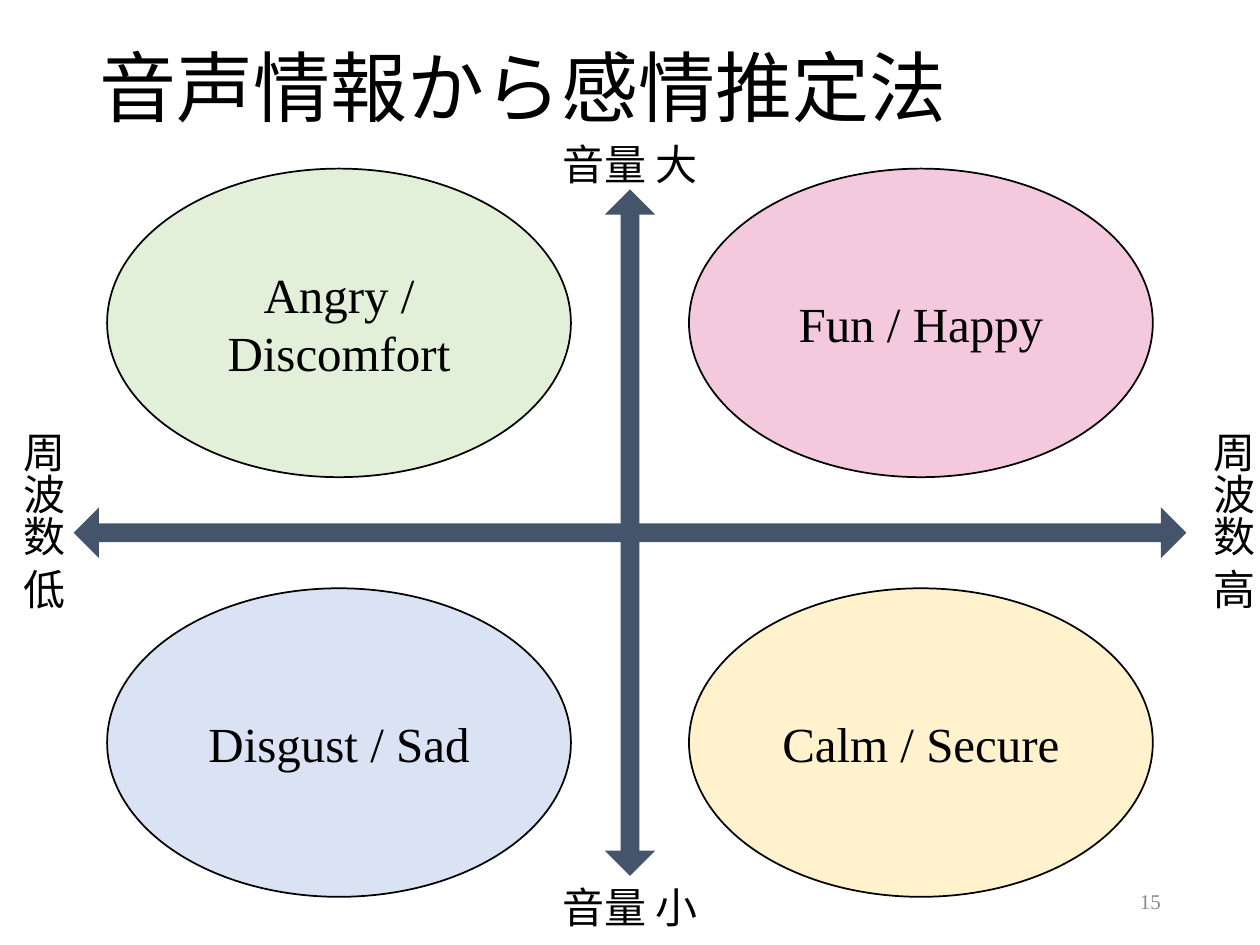
from pptx import Presentation
from pptx.dml.color import RGBColor
from pptx.enum.shapes import MSO_SHAPE
from pptx.enum.text import MSO_ANCHOR, MSO_AUTO_SIZE, PP_ALIGN
from pptx.util import Cm, Pt

COLORS = {
    "black": "000000", "gray": "8C8C8C", "slate": "44546A",
    "green": "E2F0D9", "pink": "F4C9DD", "blue": "DAE3F3", "cream": "FFF2CC",
}
FONT = "Times New Roman"


def tint(name):
    return RGBColor.from_string(COLORS[name])


def apply(item, form):
    for key, value in form.items():
        setattr(item, key, value)


class Deck:
    def __init__(self):
        self.prs = Presentation()
        self.prs.slide_width, self.prs.slide_height = Cm(25.4), Cm(19.05)
        self.slide = self.prs.slides.add_slide(self.prs.slide_layouts[5])

    def letter(self, shape, text, size, align, color="black", **frame):
        body = shape.text_frame
        apply(body, {"text": text, "word_wrap": True, **frame})
        par = body.paragraphs[0]
        par.alignment = align
        font = par.runs[0].font
        apply(font, {"name": FONT, "size": Pt(size)})
        font.color.rgb = tint(color)
        return par

    def title(self, text, left, top, width, height):
        shape = self.slide.shapes.title
        apply(shape, {"left": Cm(left), "top": Cm(top),
                      "width": Cm(width), "height": Cm(height)})
        par = self.letter(shape, text, 44, PP_ALIGN.LEFT,
                          vertical_anchor=MSO_ANCHOR.MIDDLE,
                          auto_size=MSO_AUTO_SIZE.NONE)
        par.line_spacing = 0.9

    def box(self, left, top, width, height):
        return self.slide.shapes.add_textbox(
            Cm(left), Cm(top), Cm(width), Cm(height))

    def label(self, text, left, top, width, height, upright=False):
        shape = self.box(left, top, width, height)
        if upright:
            shape.text_frame._txBody.bodyPr.set("vert", "eaVert")
        self.letter(shape, text, 24, PP_ALIGN.CENTER,
                    auto_size=MSO_AUTO_SIZE.SHAPE_TO_FIT_TEXT)

    def number(self, text, left, top, width, height):
        self.letter(self.box(left, top, width, height), text, 12,
                    PP_ALIGN.RIGHT, "gray", vertical_anchor=MSO_ANCHOR.MIDDLE)

    def shape(self, kind, left, top, width, height, fill):
        shape = self.slide.shapes.add_shape(
            kind, Cm(left), Cm(top), Cm(width), Cm(height))
        shape.shadow.inherit = False
        shape.fill.solid()
        shape.fill.fore_color.rgb = tint(fill)
        return shape

    def arrow(self, mid_x, mid_y, length, thick, turn=0):
        shape = self.shape(MSO_SHAPE.LEFT_RIGHT_ARROW, mid_x - length / 2,
                           mid_y - thick / 2, length, thick, "slate")
        shape.adjustments[0], shape.adjustments[1] = 0.37, 0.5
        shape.rotation = turn
        shape.line.fill.background()

    def oval(self, text, left, top, width, height, fill):
        shape = self.shape(MSO_SHAPE.OVAL, left, top, width, height, fill)
        shape.line.color.rgb = tint("black")
        shape.line.width = Pt(1)
        self.letter(shape, text, 28, PP_ALIGN.CENTER,
                    vertical_anchor=MSO_ANCHOR.MIDDLE)


def main():
    deck = Deck()

    # Title and page number
    deck.title("音声情報から感情推定法", 1.75, 0.91, 21.9, 1.88)
    deck.number("15", 17.93, 17.65, 5.72, 1.02)

    # Crossed axes: frequency, then volume
    for length, turn in ((22.43, 0), (13.84, 90)):
        deck.arrow(12.7, 10.74, length, 1.02, turn)

    # Axis ends
    for text, top in (("音量 大", 2.67), ("音量 小", 17.65)):
        deck.label(text, 11, top, 3.4, 1.27)
    for text, left in (("周波数 低", -0.05), ("周波数 高", 23.93)):
        deck.label(text, left, 8.46, 1.55, 4.57, upright=True)

    # Emotion in each quadrant
    moods = (
        (("Angry / Discomfort", "green"), ("Fun / Happy", "pink")),
        (("Disgust / Sad", "blue"), ("Calm / Secure", "cream")),
    )
    for row, pair in enumerate(moods):
        for col, (text, fill) in enumerate(pair):
            deck.oval(text, 2.16 + col * 11.73, 3.4 + row * 8.46,
                      9.35, 6.22, fill)

    deck.prs.save("out.pptx")


if __name__ == "__main__":
    main()
